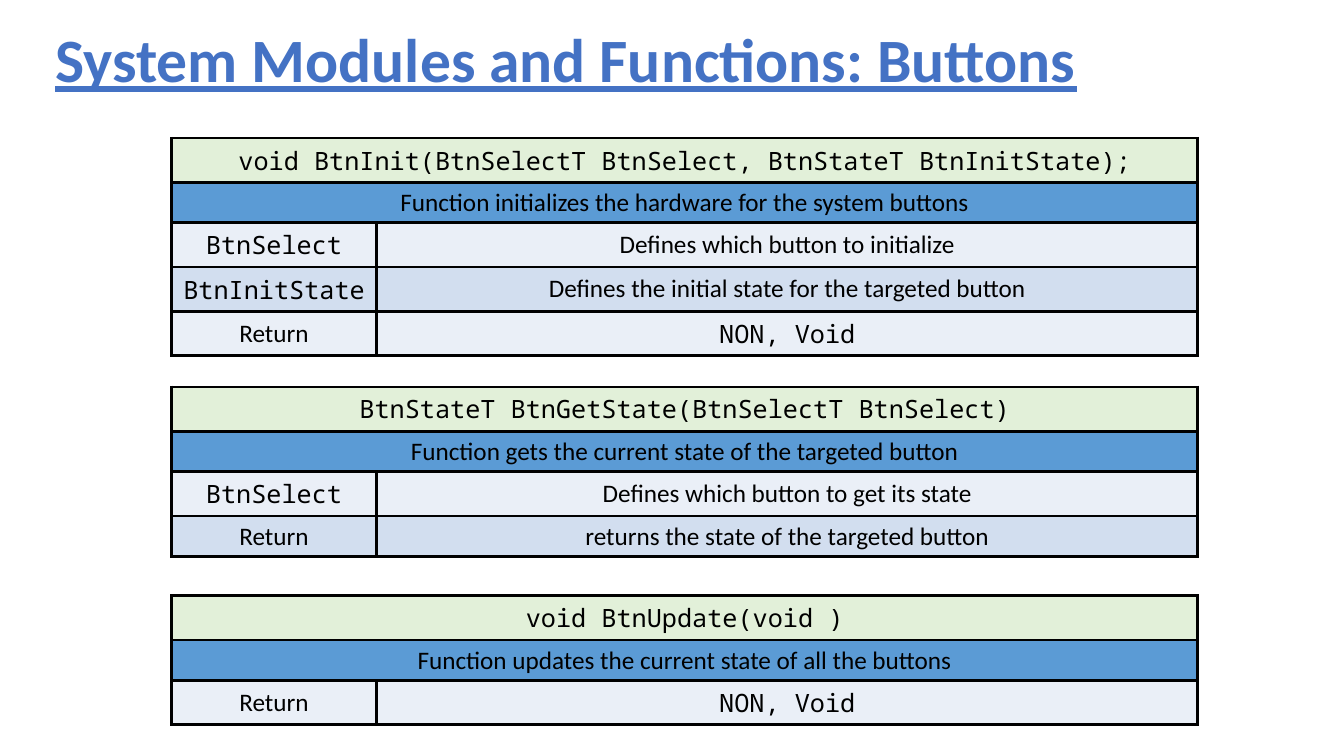
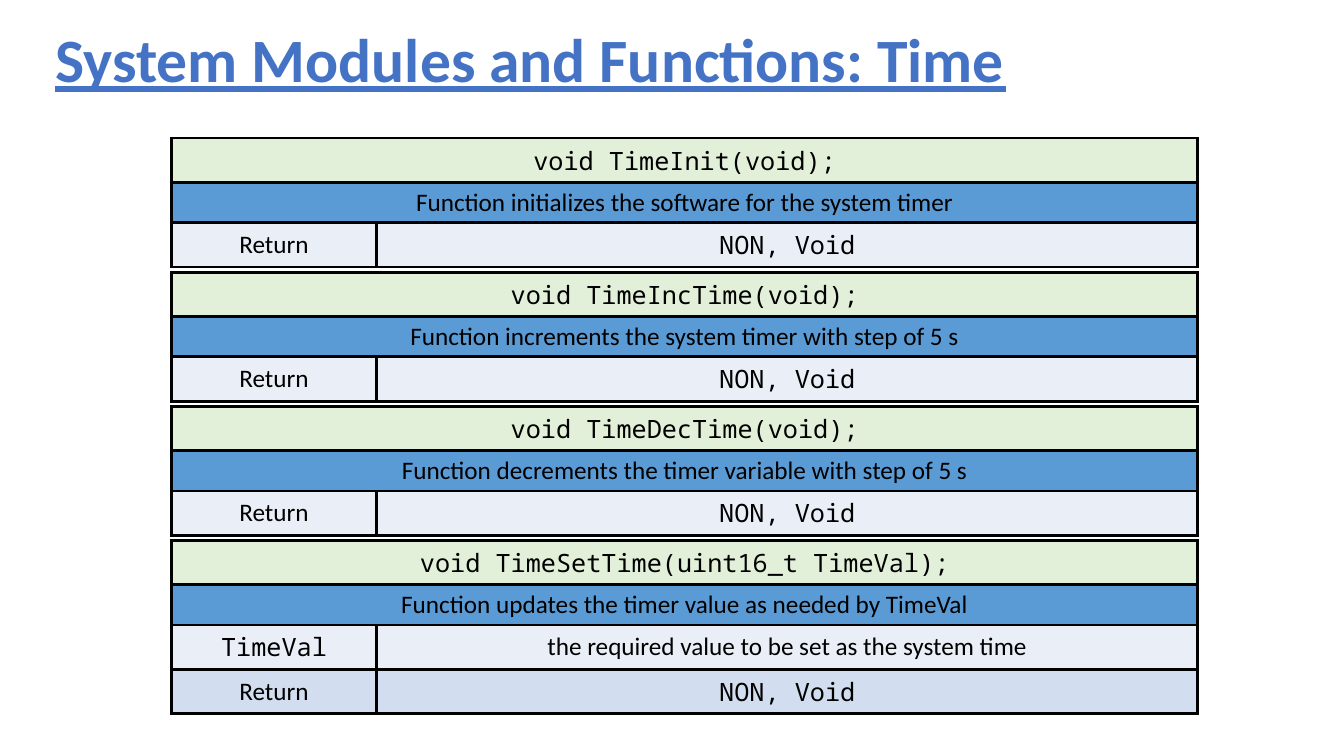
from dataclasses import dataclass, field

from lxml.etree import SubElement
from pptx import Presentation
from pptx.dml.color import RGBColor
from pptx.enum.text import MSO_ANCHOR, PP_ALIGN
from pptx.oxml.ns import qn
from pptx.util import Inches, Pt


@dataclass(frozen=True)
class Theme:
    title_color: str = "4472C4"
    ink: str = "000000"
    signature_fill: str = "E2F0D9"
    purpose_fill: str = "5B9BD5"
    band_fills: tuple = ("EAEFF7", "D2DEEF")
    prose_font: str = "Calibri"
    code_font: str = "Noto Sans Mono"
    title_size: int = 44
    body_size: int = 18
    border_width: float = 2.25


@dataclass(frozen=True)
class Box:
    left: float
    top: float
    width: float
    height: float = 0

    def inches(self):
        return [Inches(v) for v in (self.left, self.top, self.width, self.height)]


@dataclass(frozen=True)
class Function:
    signature: str
    purpose: str
    parameters: dict = field(default_factory=dict)
    returns: str = "NON, Void"

    def rows(self):
        """Rows of (text, is_code) pairs; a single pair spans the table."""
        return [
            [(self.signature, True)],
            [(self.purpose, False)],
            *([(name, True), (meaning, False)]
              for name, meaning in self.parameters.items()),
            [("Return", False), (self.returns, self.returns == "NON, Void")],
        ]


THEME = Theme()
SLIDE_WIDTH, SLIDE_HEIGHT = 13.33, 7.5
TITLE_BOX = Box(0.45, 0.17, 12.69, 0.91)
TABLE_LEFT, TABLE_TOP, TABLE_WIDTH = 1.7, 1.37, 10.18
LABEL_SHARE = 0.2
CODE_ROW, PROSE_ROW = 0.44, 0.4
TIME_STEP = 1.33

BUTTON_FUNCTIONS = [
    Function("void BtnInit(BtnSelectT BtnSelect, BtnStateT BtnInitState);",
             "Function initializes the hardware for the system buttons",
             {"BtnSelect": "Defines which button to initialize",
              "BtnInitState": "Defines the initial state for the targeted button"}),
    Function("BtnStateT BtnGetState(BtnSelectT BtnSelect)",
             "Function gets the current state of the targeted button",
             {"BtnSelect": "Defines which button to get its state"},
             "returns the state of the targeted button"),
    Function("void BtnUpdate(void )",
             "Function updates the current state of all the buttons"),
]
TIME_FUNCTIONS = [
    Function("void TimeInit(void);",
             "Function initializes the software for the system timer"),
    Function("void TimeIncTime(void);",
             "Function increments the system timer with step of 5 s"),
    Function("void TimeDecTime(void);",
             "Function decrements the timer variable with step of 5 s"),
    Function("void TimeSetTime(uint16_t TimeVal);",
             "Function updates the timer value as needed by TimeVal",
             {"TimeVal": "the required value to be set as the system time"}),
]
MODULES = [
    ("Buttons", BUTTON_FUNCTIONS, [TABLE_TOP, 3.84, 5.91]),
    ("Time", TIME_FUNCTIONS,
     [TABLE_TOP + TIME_STEP * i for i in range(len(TIME_FUNCTIONS))]),
]


def style_run(run, font_name, size, color):
    run.font.name = font_name
    run.font.size = Pt(size)
    run.font.color.rgb = RGBColor.from_string(color)


def add_title(slide, box, title):
    frame = slide.shapes.add_textbox(*box.inches()).text_frame
    frame.word_wrap = True
    frame.vertical_anchor = MSO_ANCHOR.MIDDLE
    frame.text = title
    heading = frame.paragraphs[0]
    heading.line_spacing = 0.9
    run = heading.runs[0]
    style_run(run, THEME.prose_font, THEME.title_size, THEME.title_color)
    run.font.bold = run.font.underline = True


def frame_cell(cell, fill):
    """Draw the four borders, then the fill, in the order the schema asks for."""
    properties = cell._tc.get_or_add_tcPr()
    for side in ("a:lnL", "a:lnR", "a:lnT", "a:lnB"):
        border = SubElement(properties, qn(side), w=str(Pt(THEME.border_width)))
        solid = SubElement(border, qn("a:solidFill"))
        SubElement(solid, qn("a:srgbClr"), val=THEME.ink)
    cell.fill.solid()
    cell.fill.fore_color.rgb = RGBColor.from_string(fill)


def write_cell(cell, text, is_code):
    cell.vertical_anchor = MSO_ANCHOR.MIDDLE
    cell.text_frame.text = text
    paragraph = cell.text_frame.paragraphs[0]
    paragraph.alignment = PP_ALIGN.CENTER
    font_name = THEME.code_font if is_code else THEME.prose_font
    style_run(paragraph.runs[0], font_name, THEME.body_size, THEME.ink)


def row_fill(index):
    headings = (THEME.signature_fill, THEME.purpose_fill)
    return headings[index] if index < 2 else THEME.band_fills[index % 2]


def add_function_table(slide, left, top, width, function):
    rows = function.rows()
    heights = [CODE_ROW if any(is_code for _, is_code in row) else PROSE_ROW
               for row in rows]
    box = Box(left, top, width, sum(heights))
    table = slide.shapes.add_table(len(rows), 2, *box.inches()).table
    table.first_row = table.horz_banding = False
    for column, share in zip(table.columns, (LABEL_SHARE, 1 - LABEL_SHARE)):
        column.width = Inches(width * share)
    for index, (row, height) in enumerate(zip(rows, heights)):
        table.rows[index].height = Inches(height)
        cells = [table.cell(index, column) for column in range(2)]
        for cell in cells:
            frame_cell(cell, row_fill(index))
        if len(row) == 1:
            cells[0].merge(cells[1])
        for cell, (text, is_code) in zip(cells, row):
            write_cell(cell, text, is_code)


def add_module_slide(deck, module, functions, tops):
    slide = deck.slides.add_slide(deck.slide_layouts[6])
    add_title(slide, TITLE_BOX, f"System Modules and Functions: {module}")
    for function, top in zip(functions, tops):
        add_function_table(slide, TABLE_LEFT, top, TABLE_WIDTH, function)


def main():
    deck = Presentation()
    deck.slide_width, deck.slide_height = Inches(SLIDE_WIDTH), Inches(SLIDE_HEIGHT)
    for module, functions, tops in MODULES:
        add_module_slide(deck, module, functions, tops)
    deck.save("out.pptx")


if __name__ == "__main__":
    main()
